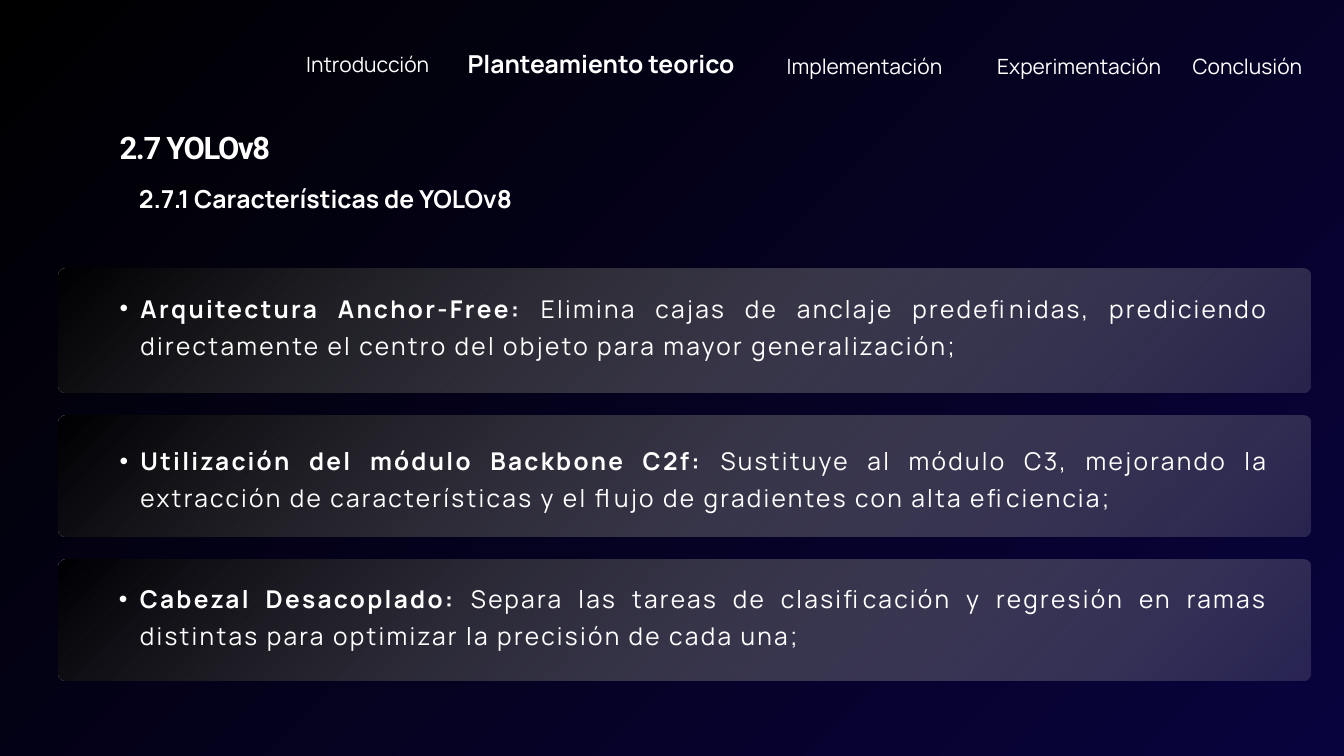
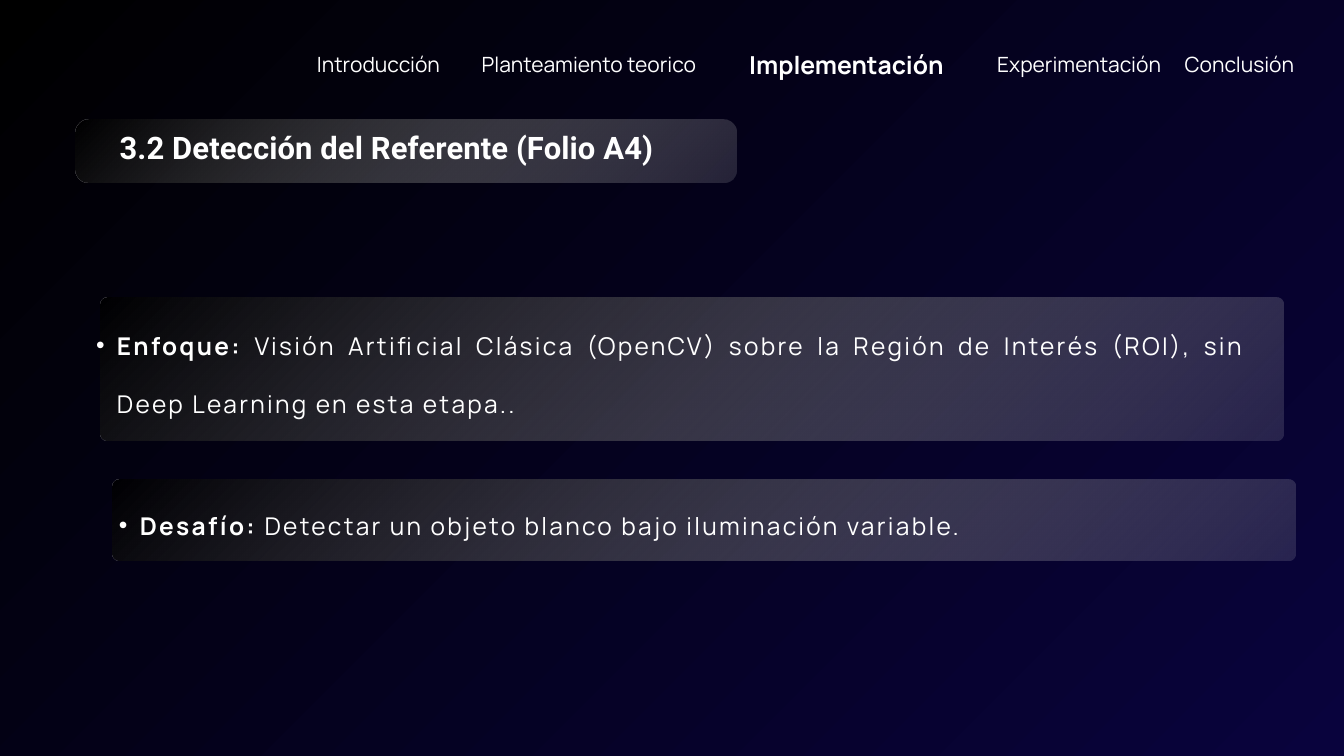
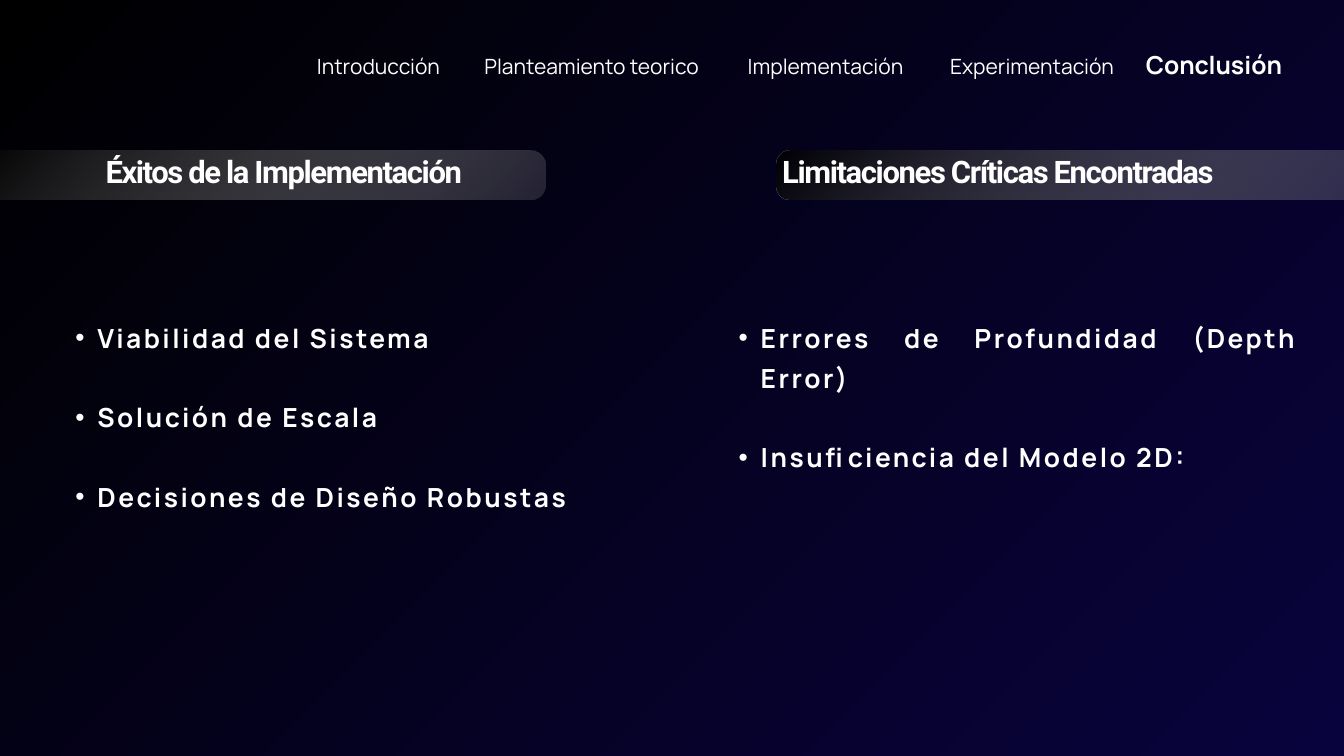
from lxml import etree
from pptx import Presentation
from pptx import util as u
from pptx.dml.color import RGBColor
from pptx.enum import shapes, text
from pptx.oxml.ns import qn

# Shared look: the slide is a grid of 20 columns by 11.25 rows
WIDTH, HEIGHT = u.Inches(20), u.Inches(11.25)
COLUMN, ROW = WIDTH / 20, HEIGHT / 11.25
TITLE_ONLY = 5

COLOURS = {"black": "000000", "night": "09033D", "mist": "DDDDDD", "white": "FFFFFF"}
ALIGN = text.PP_ALIGN

# Format values: font attributes, letter spacing and line spacing in points
STYLES = {
    "title": {"font": {"name": "Roboto", "size": u.Pt(33.2), "bold": True},
              "tracking": -1.5, "leading": 33.9},
    "nav": {"font": {"name": "Manrope", "size": u.Pt(22.5), "bold": False},
            "tracking": 0, "leading": 31.5},
    "active": {"font": {"name": "Manrope", "size": u.Pt(26.5), "bold": True},
               "tracking": 0, "leading": 37.1},
    "body": {"font": {"name": "Manrope", "size": u.Pt(26.2), "bold": False},
             "tracking": 2.5, "leading": 39.6, "indent": 0.31},
    "list": {"font": {"name": "Manrope", "size": u.Pt(28.2), "bold": True},
             "tracking": 2.7, "leading": 42.6, "indent": 0.33},
}
STYLES["airy body"] = {**STYLES["body"], "leading": 62.4}
STYLES["wide title"] = {**STYLES["title"], "tracking": 0.1}

# Section label, box width, alignment
SECTIONS = [
    ("Introducción", 3.13, ALIGN.RIGHT),
    ("Planteamiento teorico", 4.41, ALIGN.CENTER),
    ("Implementación", 3.25, ALIGN.CENTER),
    ("Experimentación", 2.88, ALIGN.RIGHT),
    ("Conclusión", 2.88, ALIGN.RIGHT),
]


def place(left, top, width, height):
    return [u.Emu(round(value * unit))
            for value, unit in zip((left, top, width, height), (COLUMN, ROW) * 2)]


def set_gradient(gradient, stops, direction, **attributes):
    """Fill a gradient element with (position, colour, opacity) stops, in percent."""
    gradient.clear()
    stop_list = etree.SubElement(gradient, qn("a:gsLst"))
    for position, colour, opacity in stops:
        stop = etree.SubElement(stop_list, qn("a:gs"), pos=str(position * 1000))
        shade = etree.SubElement(stop, qn("a:srgbClr"), val=COLOURS[colour])
        if opacity < 100:
            etree.SubElement(shade, qn("a:alpha"), val=str(opacity * 1000))
    return etree.SubElement(gradient, qn(direction), **attributes)


def set_background(master):
    master.background.fill.gradient()
    gradient = master.element.find(".//" + qn("a:gradFill"))
    glow = set_gradient(gradient, [(0, "black", 100), (100, "night", 100)],
                        "a:path", path="circle")
    etree.SubElement(glow, qn("a:fillToRect"), r="100000", b="100000")


def add_panel(slide, box, radius=0.11):
    panel = slide.shapes.add_shape(shapes.MSO_SHAPE.ROUNDED_RECTANGLE, *place(*box))
    panel.adjustments[0] = radius / min(box[2:])
    panel.shadow.inherit = False
    panel.line.fill.background()
    panel.fill.gradient()
    set_gradient(panel.element.spPr.find(qn("a:gradFill")),
                 [(0, "black", 78), (100, "mist", 15)],
                 "a:lin", ang="2700000", scaled="0")


def add_run(paragraph, words, style, **changes):
    run = paragraph.add_run()
    run.text = words
    for name, value in {**style["font"], **changes}.items():
        setattr(run.font, name, value)
    run.font.color.rgb = RGBColor.from_string(COLOURS["white"])
    if style["tracking"]:
        run.font._element.set("spc", str(round(style["tracking"] * 100)))


def prepare_frame(shape):
    frame = shape.text_frame
    settings = {"word_wrap": True, "auto_size": text.MSO_AUTO_SIZE.NONE,
                "vertical_anchor": text.MSO_ANCHOR.TOP, "margin_left": 0,
                "margin_top": 0, "margin_right": 0, "margin_bottom": 0}
    for name, value in settings.items():
        setattr(frame, name, value)
    return frame


def write_line(shape, words, style_name, alignment):
    style = STYLES[style_name]
    paragraph = prepare_frame(shape).paragraphs[0]
    paragraph.alignment = alignment
    paragraph.line_spacing = u.Pt(style["leading"])
    add_run(paragraph, words, style)


def add_line(slide, box, words, style_name, alignment=ALIGN.LEFT):
    write_line(slide.shapes.add_textbox(*place(*box)), words, style_name, alignment)


def add_title(slide, left, top, words, style_name="title"):
    title = slide.shapes.title
    title.left, title.top, title.width, title.height = place(left, top, 10.91, 0.53)
    title.element.getparent().append(title.element)  # in front of its panel
    write_line(title, words, style_name, ALIGN.LEFT)


def add_navigation(slide, active, spots):
    for (label, width, alignment), (left, top) in zip(SECTIONS, spots):
        style_name = "active" if label == active else "nav"
        add_line(slide, (left, top, width, 0.5), label, style_name, alignment)


def add_bullets(slide, box, items, style_name):
    """Each item is a bold lead and the words that follow it."""
    style = STYLES[style_name]
    frame = prepare_frame(slide.shapes.add_textbox(*place(*box)))
    for index, (lead, rest) in enumerate(items):
        paragraph = frame.add_paragraph() if index else frame.paragraphs[0]
        properties = paragraph._p.get_or_add_pPr()
        properties.set("marL", str(u.Inches(2 * style["indent"])))
        properties.set("indent", str(-u.Inches(style["indent"])))
        etree.SubElement(properties, qn("a:buFont"), typeface="Arial")
        etree.SubElement(properties, qn("a:buChar"), char="•")
        paragraph.level = 1
        paragraph.alignment = ALIGN.JUSTIFY
        paragraph.line_spacing = u.Pt(style["leading"])
        paragraph.space_before = u.Pt(style["leading"] if index else 0)
        add_run(paragraph, lead, style, bold=True)
        if rest:
            add_run(paragraph, rest, style)


def build_features(slide):
    cards = [
        ((3.99, 1.85), (1.47, 4.26), "Arquitectura Anchor-Free: ",
         "Elimina cajas de anclaje predefinidas, prediciendo directamente el centro "
         "del objeto para mayor generalización;"),
        ((6.18, 1.81), (1.47, 6.53), "Utilización del módulo Backbone C2f:",
         " Sustituye al módulo C3, mejorando la extracción de características y el "
         "flujo de gradientes con alta eficiencia;"),
        ((8.32, 1.81), (1.46, 8.58), "Cabezal Desacoplado: ",
         "Separa las tareas de clasificación y regresión en ramas distintas para "
         "optimizar la precisión de cada una;"),
    ]
    for (top, height), corner, lead, rest in cards:
        add_panel(slide, (0.87, top, 18.63, height))
        add_bullets(slide, (*corner, 17.42, 1.1), [(lead, rest)], "body")
    add_title(slide, 1.78, 1.99, "2.7 YOLOv8")
    add_line(slide, (1.86, 2.66, 5.97, 0.52), "2.7.1 Características de YOLOv8",
             "active", ALIGN.CENTER)
    add_navigation(slide, "Planteamiento teorico",
                   [(3.26, 0.7), (6.74, 0.66), (11.24, 0.73), (14.4, 0.73), (16.5, 0.73)])


def build_detection(slide):
    cards = [
        ((1.49, 4.43, 17.61, 2.12), (1.12, 4.49, 17.42, 1.64), "Enfoque: ",
         "Visión Artificial Clásica (OpenCV) sobre la Región de Interés (ROI), "
         "sin Deep Learning en esta etapa.."),
        ((1.67, 7.13, 17.61, 1.21), (1.46, 7.17, 17.42, 0.78), "Desafío:",
         " Detectar un objeto blanco bajo iluminación variable."),
    ]
    for panel_box, text_box, lead, rest in cards:
        add_panel(slide, panel_box)
        add_bullets(slide, text_box, [(lead, rest)], "airy body")
    add_panel(slide, (1.12, 1.78, 9.84, 0.94), 0.2)
    add_title(slide, 1.78, 1.99, "3.2 Detección del Referente (Folio A4)", "wide title")
    add_navigation(slide, "Implementación",
                   [(3.42, 0.71), (6.56, 0.71), (10.97, 0.67), (14.4, 0.71), (16.38, 0.71)])


def build_conclusion(slide):
    # Heading bands run past the slide edges
    add_panel(slide, (-0.48, 2.24, 8.6, 0.73), 0.23)
    add_panel(slide, (11.55, 2.24, 9.7, 0.73), 0.2)
    add_title(slide, 1.57, 2.35, "Éxitos de la Implementación")
    add_line(slide, (11.64, 2.35, 8.36, 0.53), "Limitaciones Críticas Encontradas", "title")
    columns = {
        0.79: ["Viabilidad del Sistema", "Solución de Escala",
               "Decisiones de Diseño Robustas"],
        10.66: ["Errores de Profundidad (Depth Error)", "Insuficiencia del Modelo 2D:"],
    }
    for left, points in columns.items():
        add_bullets(slide, (left, 4.67, 8.65, 3.47),
                    [(point, "") for point in points], "list")
    add_navigation(slide, "Conclusión",
                   [(3.42, 0.74), (6.6, 0.74), (10.66, 0.74), (13.7, 0.74), (16.2, 0.67)])


def main():
    presentation = Presentation()
    presentation.slide_width, presentation.slide_height = WIDTH, HEIGHT
    set_background(presentation.slide_master)
    for build in (build_features, build_detection, build_conclusion):
        build(presentation.slides.add_slide(presentation.slide_layouts[TITLE_ONLY]))
    presentation.save("out.pptx")


if __name__ == "__main__":
    main()
